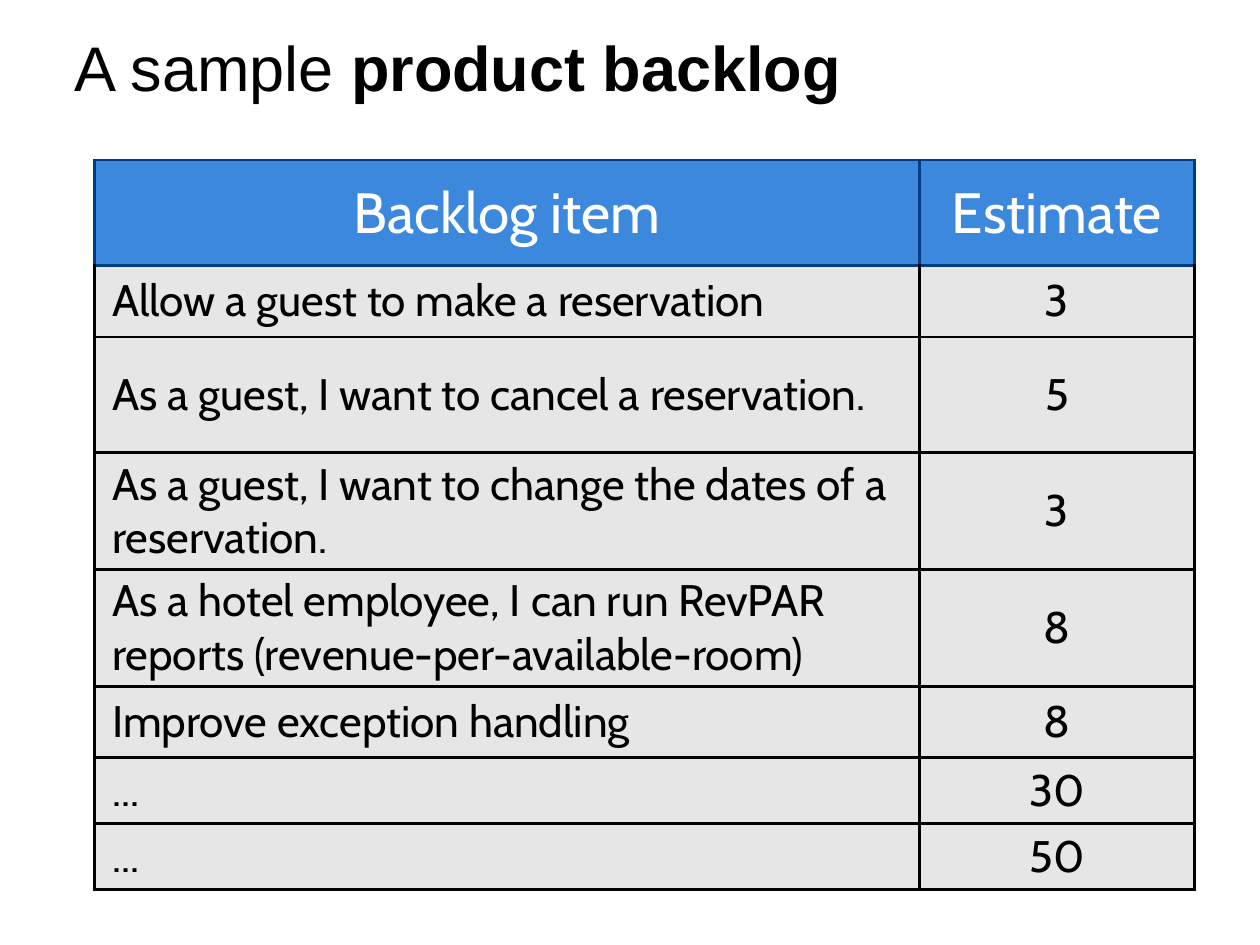
from lxml.etree import SubElement
from pptx import Presentation
from pptx.dml.color import RGBColor
from pptx.enum.text import MSO_ANCHOR, PP_ALIGN
from pptx.oxml.ns import qn
from pptx.util import Inches, Pt

BLACK, WHITE = "000000", "FFFFFF"
BLUE, NAVY, GREY = "3C88DC", "003C83", "E6E6E6"

COLUMN_WIDTHS = [7.28, 2.42]
ROW_HEIGHTS = [0.93, 0.63, 1.02, 1.03, 1.03, 0.63, 0.58, 0.58]
BACKLOG = [
    ("Backlog item", "Estimate"),
    ("Allow a guest to make a reservation", "3"),
    ("As a guest, I want to cancel a reservation.", "5"),
    ("As a guest, I want to change the dates of a reservation.", "3"),
    ("As a hotel employee, I can run RevPAR reports (revenue-per-available-room)", "8"),
    ("Improve exception handling", "8"),
    ("...", "30"),
    ("...", "50"),
]


def rgb(value):
    return RGBColor.from_string(value)


def set_font(font, name, size, color):
    font.name = name
    font.size = Pt(size)
    font.color.rgb = rgb(color)


def add_title(page, plain, strong):
    title = page.shapes.title
    title.left, title.top = Inches(0.56), Inches(0.23)
    title.width, title.height = Inches(10), Inches(0.71)
    frame = title.text_frame
    frame.vertical_anchor = MSO_ANCHOR.MIDDLE
    para = frame.paragraphs[0]
    para.alignment = PP_ALIGN.LEFT
    set_font(para.font, "Arial", 40, BLACK)
    para.add_run().text = plain
    span = para.add_run()
    span.text = strong
    span.font.bold = True


def set_borders(cell, color, top_color):
    properties = cell._tc.get_or_add_tcPr()
    for side in "LRTB":
        line = SubElement(properties, qn(f"a:ln{side}"), w=str(Pt(2)))
        fill = SubElement(line, qn("a:solidFill"))
        SubElement(fill, qn("a:srgbClr"), val=top_color if side == "T" else color)


def format_cell(cell, text, row, column):
    header = row == 0
    centred = header or column == 1
    set_borders(cell, NAVY if header else BLACK, NAVY if row < 2 else BLACK)
    cell.fill.solid()
    cell.fill.fore_color.rgb = rgb(BLUE if header else GREY)
    cell.vertical_anchor = MSO_ANCHOR.MIDDLE
    cell.margin_left = Inches(0.04 if centred else 0.16)
    cell.margin_right = cell.margin_top = cell.margin_bottom = Inches(0.04)
    cell.text = text
    para = cell.text_frame.paragraphs[0]
    para.alignment = PP_ALIGN.CENTER if centred else PP_ALIGN.LEFT
    set_font(para.font, "Cabin", 36 if header else 28, WHITE if header else BLACK)
    para.font.bold = False


def add_backlog(page):
    table = page.shapes.add_table(
        len(BACKLOG), len(COLUMN_WIDTHS), Inches(0.83), Inches(1.41),
        Inches(sum(COLUMN_WIDTHS)), Inches(sum(ROW_HEIGHTS))).table
    for column, width in zip(table.columns, COLUMN_WIDTHS):
        column.width = Inches(width)
    for row, height in zip(table.rows, ROW_HEIGHTS):
        row.height = Inches(height)
    for row, texts in enumerate(BACKLOG):
        for column, text in enumerate(texts):
            format_cell(table.cell(row, column), text, row, column)


def main():
    deck = Presentation()
    deck.slide_width, deck.slide_height = Inches(11.11), Inches(8.33)
    # Title Only layout
    page = deck.slides.add_slide(deck.slide_layouts[5])
    add_title(page, "A sample ", "product backlog")
    add_backlog(page)
    deck.save("out.pptx")


if __name__ == "__main__":
    main()
